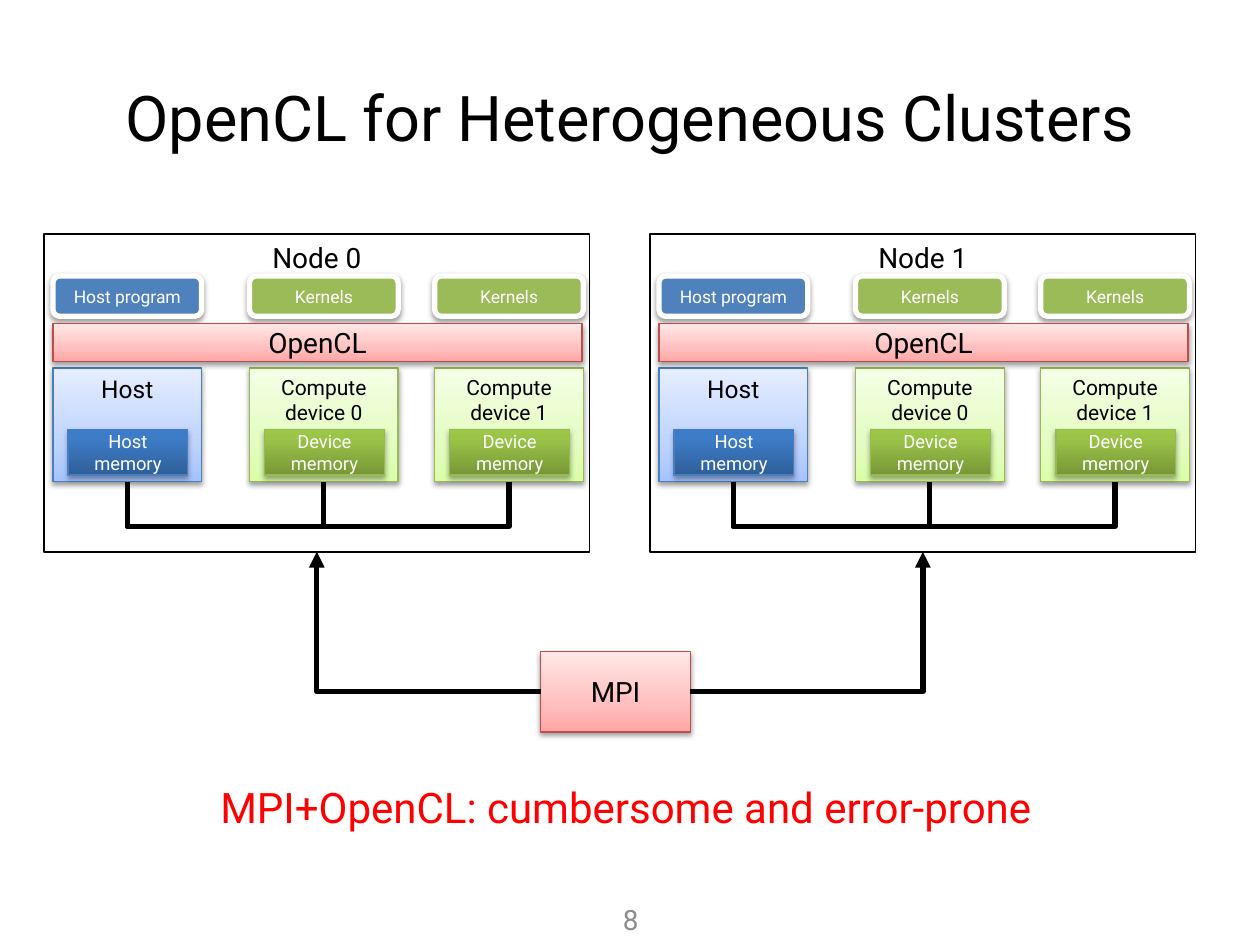
from lxml import etree
from pptx import Presentation
from pptx.dml.color import RGBColor
from pptx.enum.shapes import MSO_CONNECTOR as CONN, MSO_SHAPE as SHAPE
from pptx.enum.text import MSO_ANCHOR as ANCHOR, PP_ALIGN as ALIGN
from pptx.oxml.ns import qn
from pptx.util import Inches, Pt

FONT = "Roboto"
NODE_LEFT, NODE_PITCH, NODE_TOP = 0.35, 4.81, 1.86
NODE_W, NODE_H = 4.33, 2.52
COLUMNS = (0.07, 1.63, 3.1)
UNIT_W, UNIT_H = 1.18, 0.9
PROGRAM_Y, LAYER_Y, UNIT_Y, MEMORY_Y = 2.19, 2.57, 2.92, 3.41
BUS_DROP = 0.36

RED = ((0, "FFA6A5"), (35, "FFC0BF"), (100, "FFE7E7"))
PALE_BLUE = ((0, "A4C4FF"), (35, "BFD4FF"), (100, "E6EEFF"))
DEEP_BLUE = ((0, "2F5F99"), (80, "3D7CC7"), (100, "3A7CCB"))
PALE_GREEN = ((0, "DAFDA7"), (35, "E4FCC2"), (100, "F5FFE7"))
DEEP_GREEN = ((0, "779737"), (80, "9BC348"), (100, "9DC746"))
RED_LINE, BLUE_LINE, GREEN_LINE = "BF4C48", "4B7EBC", "98B955"
SOFT, TIGHT = (38, 3.1, 1.6), (35, 3.1, 1.8)


def rgb(value):
    return RGBColor.from_string(value)


def write(sp, lines, size, color, anchor=ANCHOR.MIDDLE, align=ALIGN.CENTER, wrap=True):
    tf = sp.text_frame
    tf.word_wrap = wrap
    tf.vertical_anchor = anchor
    for i, line in enumerate(lines):
        p = tf.paragraphs[0] if i == 0 else tf.add_paragraph()
        p.alignment = align
        r = p.add_run()
        r.text = line
        r.font.name, r.font.size = FONT, Pt(size)
        r.font.color.rgb = rgb(color)


def add_text(s, box, text, size, color, **style):
    sp = s.shapes.add_textbox(*map(Inches, box))
    write(sp, [text], size, color, **style)


def paint_gradient(sp, stops):
    sp.fill.gradient()
    sp.fill.gradient_angle = 90
    stop_list = sp._element.spPr.find(".//" + qn("a:gsLst"))
    for old in list(stop_list):
        stop_list.remove(old)
    for pos, color in stops:
        gs = etree.SubElement(stop_list, qn("a:gs"), pos=str(pos * 1000))
        etree.SubElement(gs, qn("a:srgbClr"), val=color)


def cast_shadow(sp, alpha, blur, dist):
    effects = sp._element.spPr.find(qn("a:effectLst"))
    shadow = etree.SubElement(effects, qn("a:outerShdw"), blurRad=str(Pt(blur)),
                              dist=str(Pt(dist)), dir="5400000", rotWithShape="0")
    color = etree.SubElement(shadow, qn("a:srgbClr"), val="000000")
    etree.SubElement(color, qn("a:alpha"), val=str(alpha * 1000))


def add_box(s, box, fill, line, width, lines, size, color="000000",
            shape=SHAPE.RECTANGLE, shadow=None, anchor=ANCHOR.MIDDLE):
    sp = s.shapes.add_shape(shape, *map(Inches, box))
    if isinstance(fill, str):
        sp.fill.solid()
        sp.fill.fore_color.rgb = rgb(fill)
    else:
        paint_gradient(sp, fill)
    sp.line.color.rgb = rgb(line)
    sp.line.width = Pt(width)
    sp.shadow.inherit = False
    if shadow:
        cast_shadow(sp, *shadow)
    write(sp, lines, size, color, anchor)


def add_elbow(s, x1, y1, x2, y2):
    c = s.shapes.add_connector(CONN.ELBOW, *map(Inches, (x1, y1, x2, y2)))
    c.line.color.rgb = rgb("000000")
    c.line.width = Pt(3)
    etree.SubElement(c._element.spPr, qn("a:effectLst"))
    return c


def add_bus(s, x1, x2, y):
    depth, span = 0.01, x2 - x1
    c = add_elbow(s, x1, y, x2, y)
    c.left, c.top = Inches((x1 + x2 - depth) / 2), Inches(y - span / 2)
    c.width, c.height = Inches(depth), Inches(span)
    xfrm = c._element.spPr.find(qn("a:xfrm"))
    for name, value in (("rot", "5400000"), ("flipH", "1"), ("flipV", "1")):
        xfrm.set(name, value)
    guides = c._element.spPr.find(".//" + qn("a:avLst"))
    bend = round(-BUS_DROP / depth * 100000)
    etree.SubElement(guides, qn("a:gd"), name="adj1", fmla=f"val {bend}")


def add_corner_arrow(s, x1, y1, x2, y2):
    c = add_elbow(s, x1, y1, x2, y2)
    c._element.spPr.find(qn("a:prstGeom")).set("prst", "bentConnector2")
    etree.SubElement(c.line._get_or_add_ln(), qn("a:tailEnd"), type="triangle")


def add_unit(s, x, lines, size, owner, pale, deep, line):
    add_box(s, (x, UNIT_Y, UNIT_W, UNIT_H), pale, line, 0.75, lines, size,
            shadow=SOFT, anchor=ANCHOR.TOP)
    add_box(s, (x + 0.12, MEMORY_Y, 0.95, 0.36), deep, line, 0.75,
            [owner, "memory"], 10.5, "FFFFFF", shadow=TIGHT)


def add_program(s, x, text, fill):
    add_box(s, (x, PROGRAM_Y, UNIT_W, 0.32), fill, "FFFFFF", 3, [text], 10, "FFFFFF",
            shape=SHAPE.ROUNDED_RECTANGLE, shadow=SOFT)


def add_node(s, index):
    left = NODE_LEFT + index * NODE_PITCH
    host, *devices = [left + col for col in COLUMNS]
    add_box(s, (left, NODE_TOP, NODE_W, NODE_H), "FFFFFF", "000000", 1,
            [f"Node {index}"], 16, anchor=ANCHOR.TOP)
    add_unit(s, host, ["Host"], 14, "Host", PALE_BLUE, DEEP_BLUE, BLUE_LINE)
    for x in reversed(devices):
        add_bus(s, host + UNIT_W / 2, x + UNIT_W / 2, UNIT_Y + UNIT_H)
    for i, x in enumerate(devices):
        add_unit(s, x, ["Compute", f"device {i}"], 12, "Device",
                 PALE_GREEN, DEEP_GREEN, GREEN_LINE)
    add_program(s, host, "Host program", "4F81BD")
    for x in devices:
        add_program(s, x, "Kernels", "9BBB59")
    add_box(s, (host, LAYER_Y, 4.2, 0.3), RED, RED_LINE, 0.75, ["OpenCL"], 16, shadow=SOFT)
    return left + NODE_W / 2


def main():
    prs = Presentation()
    prs.slide_width, prs.slide_height = Inches(10), Inches(7.5)
    s = prs.slides.add_slide(prs.slide_layouts[6])
    add_text(s, (0.5, 0.3, 9, 1.25), "OpenCL for Heterogeneous Clusters", 36, "000000")
    centers = [add_node(s, index) for index in range(2)]
    x, y, w, h = 4.29, 5.17, 1.19, 0.64
    add_box(s, (x, y, w, h), RED, RED_LINE, 0.75, ["MPI"], 16, shadow=SOFT)
    for side, center in zip((x, x + w), centers):
        add_corner_arrow(s, side, y + h / 2, center, NODE_TOP + NODE_H)
    add_text(s, (1.65, 6.15, 6.69, 0.5), "MPI+OpenCL: cumbersome and error-prone", 24,
             "FF0000", anchor=ANCHOR.TOP, align=ALIGN.LEFT, wrap=False)
    add_text(s, (4.61, 7.1, 0.79, 0.4), "8", 16, "8C8C8C")
    prs.save("out.pptx")


if __name__ == "__main__":
    main()
